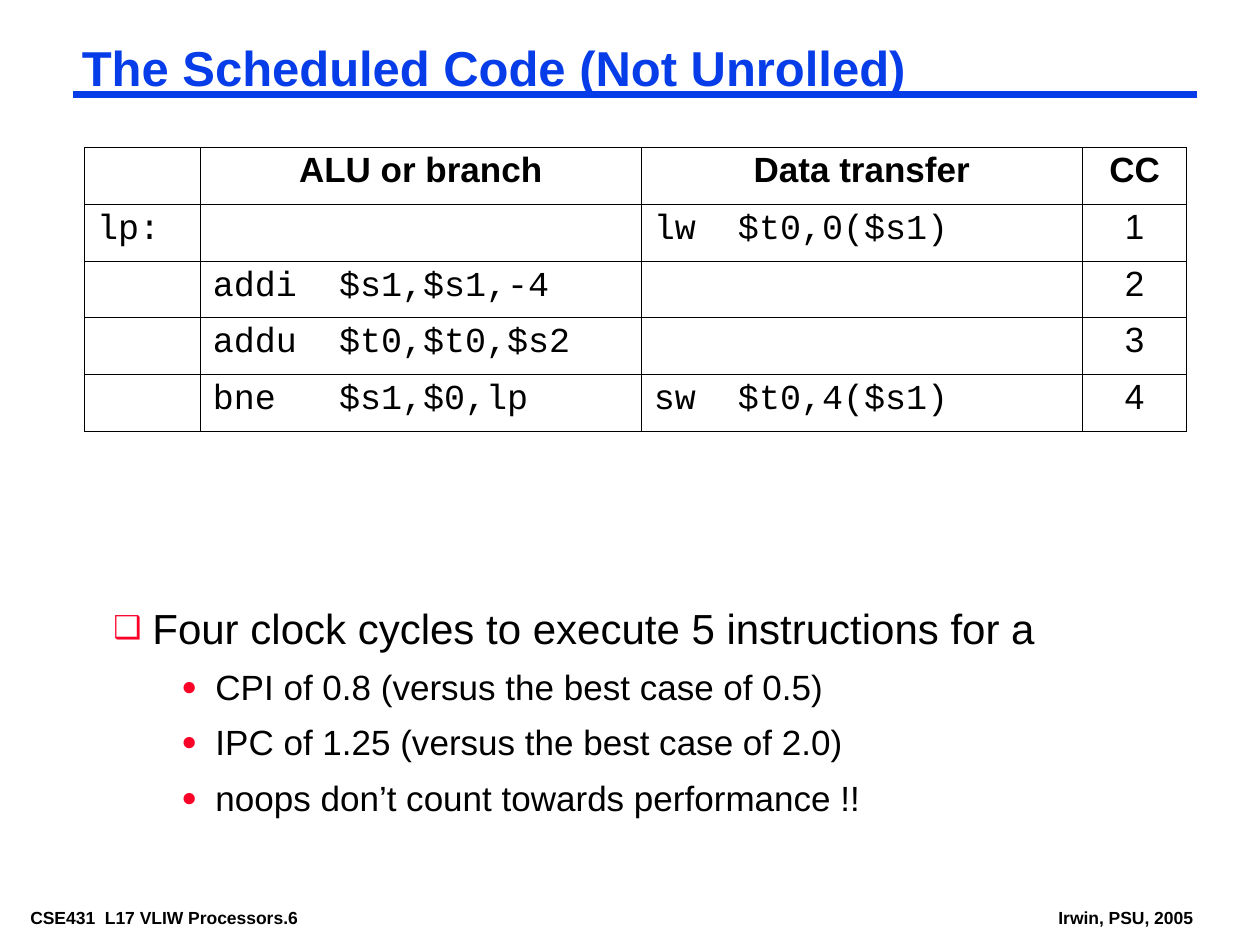
from lxml import etree
from pptx import Presentation
from pptx.dml.color import RGBColor
from pptx.enum.shapes import MSO_CONNECTOR
from pptx.enum.text import PP_ALIGN
from pptx.oxml.ns import qn
from pptx.util import Inches, Pt

LEFT, CENTER = PP_ALIGN.LEFT, PP_ALIGN.CENTER
BLUE = RGBColor(0x06, 0x3D, 0xE8)
RED = RGBColor(0xFC, 0x01, 0x28)
BLACK = RGBColor(0, 0, 0)
SANS, MONO = "Arial", "Courier New"

# Content
TITLE = "The Scheduled Code (Not Unrolled)"
SCHEDULE = [
    ("", "ALU or branch", "Data transfer", "CC"),
    ("lp:", "", "lw  $t0,0($s1)", "1"),
    ("", "addi  $s1,$s1,-4", "", "2"),
    ("", "addu  $t0,$t0,$s2", "", "3"),
    ("", "bne   $s1,$0,lp", "sw  $t0,4($s1)", "4"),
]
COLUMN_WIDTHS = (0.92, 3.5, 3.5, 0.83)
ROW_HEIGHT = 0.45
POINTS = [
    (0, "Four clock cycles to execute 5 instructions for a"),
    (1, "CPI of 0.8 (versus the best case of 0.5)"),
    (1, "IPC of 1.25 (versus the best case of 2.0)"),
    (1, "noops don’t count towards performance !!"),
]
# Per level: size, space before, left margin, hanging indent, bullet
LEVELS = [(24, 9, 0.31, 0.31, "❑"), (20, 7.5, 0.81, 0.27, "●")]
FOOTERS = [
    ("CSE431  L17 VLIW Processors.6", 0.17, 2.85),
    ("Irwin, PSU, 2005", 8.33, 1.21),
]


def write(paragraph, text, size, color=BLACK, bold=False, font=SANS):
    paragraph.text = text
    for run in paragraph.runs:
        run.font.name = font
        run.font.size = Pt(size)
        run.font.bold = bold
        run.font.color.rgb = color


def add_text_frame(slide, left, top, width, height, wrap=True):
    box = slide.shapes.add_textbox(
        Inches(left), Inches(top), Inches(width), Inches(height))
    frame = box.text_frame
    frame.word_wrap = wrap
    frame.margin_left = frame.margin_right = Inches(0.07)
    frame.margin_top = frame.margin_bottom = Inches(0.03)
    return frame


def set_bullet(paragraph, symbol, margin, hanging):
    properties = paragraph._p.get_or_add_pPr()
    properties.set("marL", str(Inches(margin)))
    properties.set("indent", str(-Inches(hanging)))
    color = etree.SubElement(properties, qn("a:buClr"))
    etree.SubElement(color, qn("a:srgbClr"), val=str(RED))
    etree.SubElement(properties, qn("a:buSzPct"), val="75000")
    etree.SubElement(properties, qn("a:buFont"), typeface=SANS)
    etree.SubElement(properties, qn("a:buChar"), char=symbol)


def set_border(cell, side, width):
    line = etree.SubElement(cell._tc.get_or_add_tcPr(), qn("a:ln" + side),
                            w=str(Pt(width)))
    fill = etree.SubElement(line, qn("a:solidFill"))
    etree.SubElement(fill, qn("a:srgbClr"), val=str(BLACK))


def add_schedule(slide):
    rows, columns = len(SCHEDULE), len(COLUMN_WIDTHS)
    table = slide.shapes.add_table(
        rows, columns, Inches(0.67), Inches(1.17),
        Inches(sum(COLUMN_WIDTHS)), Inches(rows * ROW_HEIGHT)).table
    table.first_row = table.horz_banding = False
    for column, width in zip(table.columns, COLUMN_WIDTHS):
        column.width = Inches(width)
    for r, entries in enumerate(SCHEDULE):
        table.rows[r].height = Inches(ROW_HEIGHT)
        for c, entry in enumerate(entries):
            cell = table.cell(r, c)
            # Outer edges are heavier than the inner grid
            outer = {"L": c == 0, "R": c == columns - 1,
                     "T": r == 0, "B": r == rows - 1}
            for side, is_outer in outer.items():
                set_border(cell, side, 0.5 if is_outer else 0.23)
            cell.fill.background()
            header = r == 0
            code = not header and c < columns - 1
            paragraph = cell.text_frame.paragraphs[0]
            write(paragraph, entry, 20, bold=header, font=MONO if code else SANS)
            paragraph.alignment = LEFT if code else CENTER
            paragraph.line_spacing = 0.94 if code else 0.93
            paragraph.space_before = Pt(7.5)


def main():
    prs = Presentation()
    prs.slide_width, prs.slide_height = Inches(10), Inches(7.5)
    slide = prs.slides.add_slide(prs.slide_layouts[6])

    # Footers
    for text, left, width in FOOTERS:
        frame = add_text_frame(slide, left, 7.17, width, 0.22, wrap=False)
        write(frame.paragraphs[0], text, 10, bold=True)

    # Title and its rule
    rule = slide.shapes.add_connector(
        MSO_CONNECTOR.STRAIGHT, Inches(0.58), Inches(0.75), Inches(9.5), Inches(0.75))
    rule.line.color.rgb = BLUE
    rule.line.width = Pt(4.5)
    etree.SubElement(rule._element.spPr, qn("a:effectLst"))
    heading = add_text_frame(slide, 0.58, 0.33, 8.92, 0.46).paragraphs[0]
    write(heading, TITLE, 28, BLUE, bold=True)
    heading.line_spacing = 0.87

    # Bullet points
    frame = add_text_frame(slide, 0.83, 4.75, 8.42, 1.77)
    for i, (level, text) in enumerate(POINTS):
        paragraph = frame.add_paragraph() if i else frame.paragraphs[0]
        size, before, margin, hanging, symbol = LEVELS[level]
        write(paragraph, text, size)
        paragraph.level = level
        paragraph.space_before = Pt(before)
        set_bullet(paragraph, symbol, margin, hanging)

    add_schedule(slide)
    prs.save("out.pptx")


if __name__ == "__main__":
    main()
